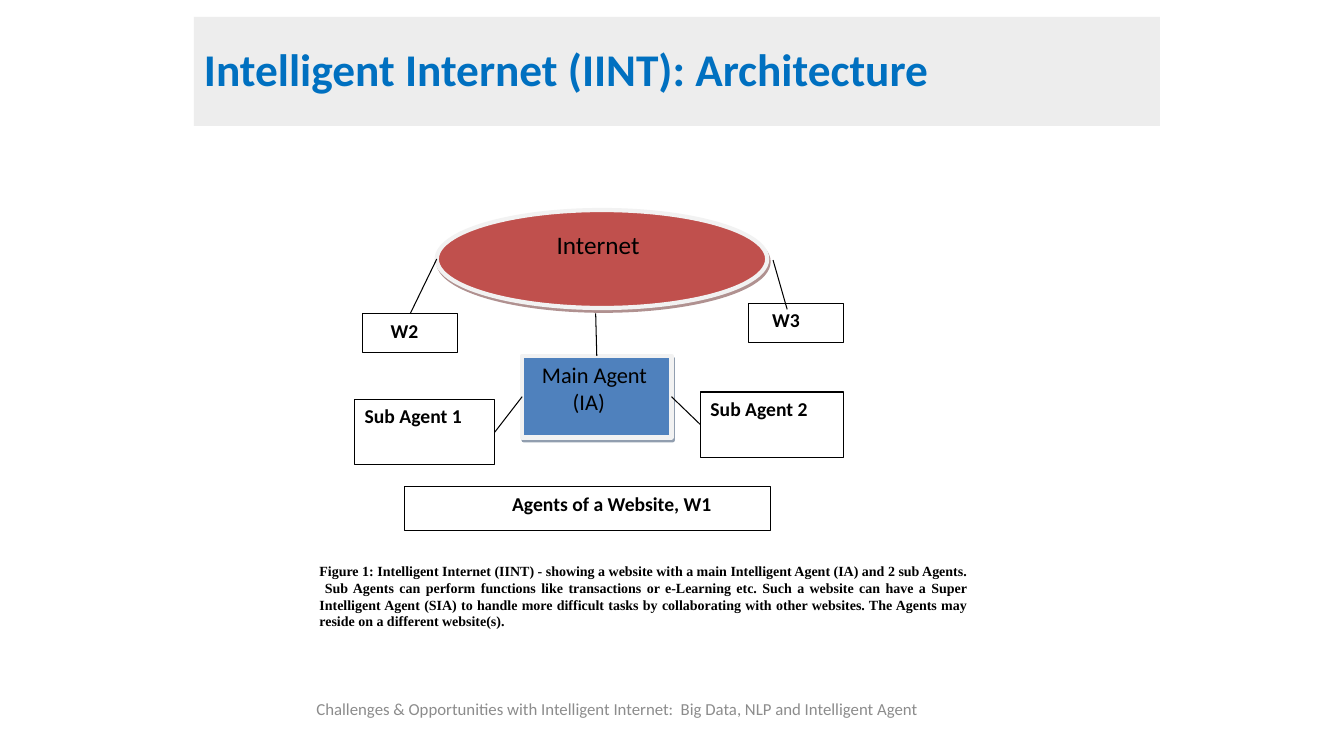
from lxml.etree import SubElement
from pptx import Presentation
from pptx.dml.color import RGBColor
from pptx.enum.shapes import MSO_CONNECTOR, MSO_SHAPE
from pptx.enum.text import MSO_ANCHOR, MSO_AUTO_SIZE, PP_ALIGN
from pptx.oxml.ns import qn
from pptx.util import Pt


def rgb(value):
    return RGBColor.from_string(value)


class ArchitectureSlide:
    """Style and drawing methods for the architecture slide."""

    font = "Calibri"
    ink = "000000"
    paper = "FFFFFF"
    rim = "F2F2F2"

    def __init__(self, prs):
        self.s = prs.slides.add_slide(prs.slide_layouts[5])

    def set_text(self, sp, text, size, bold=False, color=ink, font=font, align=PP_ALIGN.LEFT,
                 anchor=MSO_ANCHOR.TOP, indents=(0,), after=0):
        tf = sp.text_frame
        tf.text = text
        tf.word_wrap = True
        tf.auto_size = MSO_AUTO_SIZE.NONE
        tf.vertical_anchor = anchor
        for p, indent in zip(tf.paragraphs, indents):
            p.alignment = align
            p.space_after = Pt(after)
            p._p.get_or_add_pPr().set("marL", str(int(Pt(indent))))
            for r in p.runs:
                r.font.name = font
                r.font.size = Pt(size)
                r.font.bold = bold
                r.font.color.rgb = rgb(color)

    def title(self, text, box, fill, color):
        sp = self.s.shapes.title
        sp.left, sp.top, sp.width, sp.height = map(Pt, box)
        sp.fill.solid()
        sp.fill.fore_color.rgb = rgb(fill)
        self.set_text(sp, text, 32.4, True, color, anchor=MSO_ANCHOR.MIDDLE)
        sp.text_frame.paragraphs[0].line_spacing = 0.9

    def shape(self, kind, box, fill, line, width):
        sp = self.s.shapes.add_shape(kind, *map(Pt, box))
        sp.shadow.inherit = False
        sp.fill.solid()
        sp.fill.fore_color.rgb = rgb(fill)
        sp.line.color.rgb = rgb(line)
        sp.line.width = Pt(width)
        return sp

    def box(self, text, box, indent=0, after=0):
        sp = self.shape(MSO_SHAPE.RECTANGLE, box, self.paper, self.ink, 0.75)
        self.set_text(sp, text, 14, True, indents=(indent,), after=after)
        return sp

    def raised(self, kind, text, box, fill, shade, size, indents, after=0):
        sp = self.shape(kind, box, fill, self.rim, 3)
        effects = sp._element.spPr.find(qn("a:effectLst"))
        shadow = SubElement(effects, qn("a:outerShdw"), blurRad="0", dist=str(int(Pt(2.2))),
                            dir=str(63 * 60000), algn="ctr", rotWithShape="0")
        tint = SubElement(shadow, qn("a:srgbClr"), val=shade)
        SubElement(tint, qn("a:alpha"), val="50000")
        self.set_text(sp, text, size, indents=indents, after=after)
        return sp

    def text(self, text, box, size, margin=None, **style):
        sp = self.s.shapes.add_textbox(*map(Pt, box))
        tf = sp.text_frame
        if margin is not None:
            tf.margin_left = tf.margin_top = tf.margin_right = tf.margin_bottom = Pt(margin)
        self.set_text(sp, text, size, **style)

    def line(self, start, end, begin=None, finish=None):
        c = self.s.shapes.add_connector(MSO_CONNECTOR.STRAIGHT, *map(Pt, (*start, *end)))
        c.line.color.rgb = rgb(self.ink)
        c.line.width = Pt(0.75)
        SubElement(c._element.spPr, qn("a:effectLst"))
        if begin:
            c.begin_connect(*begin)
        if finish:
            c.end_connect(*finish)


def main():
    prs = Presentation()
    prs.slide_width, prs.slide_height = Pt(960), Pt(540)
    page = ArchitectureSlide(prs)
    page.title("Intelligent Internet (IINT): Architecture", (138.5, 12, 690, 78), "EDEDED", "0070C0")

    agent = page.raised(MSO_SHAPE.RECTANGLE, "Main Agent\n(IA)", (373, 254.2, 106.6, 58.3),
                        "4F81BD", "243F60", 16, (7, 29))
    sub2 = page.box("Sub Agent 2", (500.4, 280, 102.2, 46.8))
    sub1 = page.box("Sub Agent 1", (253.4, 285.2, 100.1, 46.8))
    page.raised(MSO_SHAPE.OVAL, "Internet", (312, 150, 236, 70), "C0504D", "622423", 18, (44,), 10)
    page.box("Agents of a Website, W1", (288.7, 347.8, 261.4, 31), 70, 10)
    w2 = page.box("W2", (259.2, 224, 67.7, 28), 12.7, 10)
    page.box("W3", (535, 216.7, 67.7, 28), 9.5, 10)

    page.line((353.5, 308.6), (373, 283.4), (sub1, 3), (agent, 1))
    page.line((500.4, 303.4), (479.6, 283.4), (sub2, 1), (agent, 3))
    page.line((426.3, 254.2), (425.5, 223.9), (agent, 0))
    page.line((293, 224), (312, 185), (w2, 0))
    page.line((562.3, 221), (552.2, 185.8))

    page.text("Figure 1: Intelligent Internet (IINT) - showing a website with a main Intelligent Agent (IA) "
              "and 2 sub Agents.  Sub Agents can perform functions like transactions or e-Learning etc. "
              "Such a website can have a Super Intelligent Agent (SIA) to handle more difficult tasks by "
              "collaborating with other websites. The Agents may reside on a different website(s).",
              (228.2, 401.8, 462.2, 48.2), 10, margin=0, bold=True, font="Times New Roman",
              align=PP_ALIGN.JUSTIFY, after=10)
    page.text("Challenges & Opportunities with Intelligent Internet:  Big Data, NLP and Intelligent Agent",
              (180, 491.8, 522, 28.8), 12, color="8C8C8C", align=PP_ALIGN.CENTER,
              anchor=MSO_ANCHOR.MIDDLE)
    prs.save("out.pptx")


if __name__ == "__main__":
    main()
